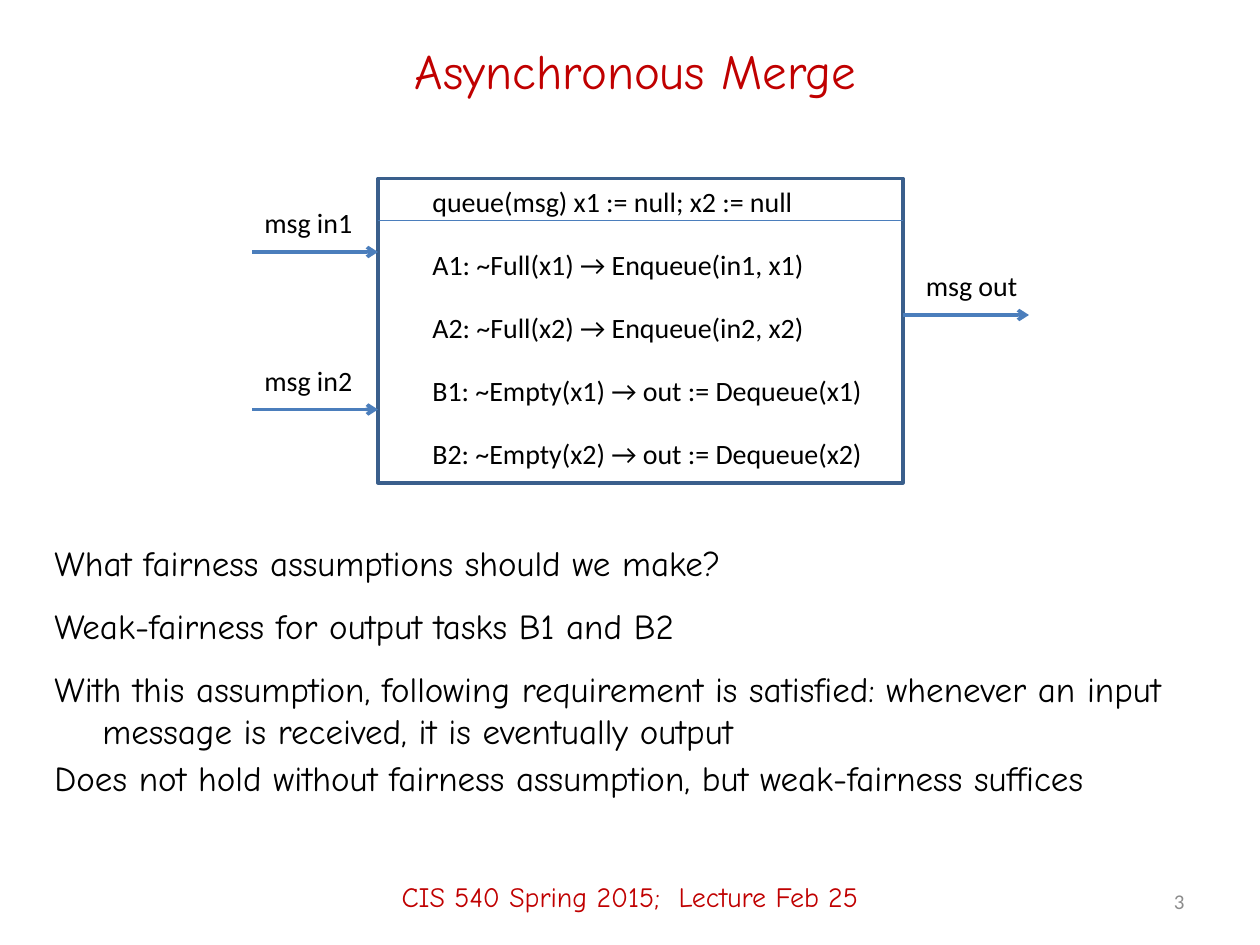
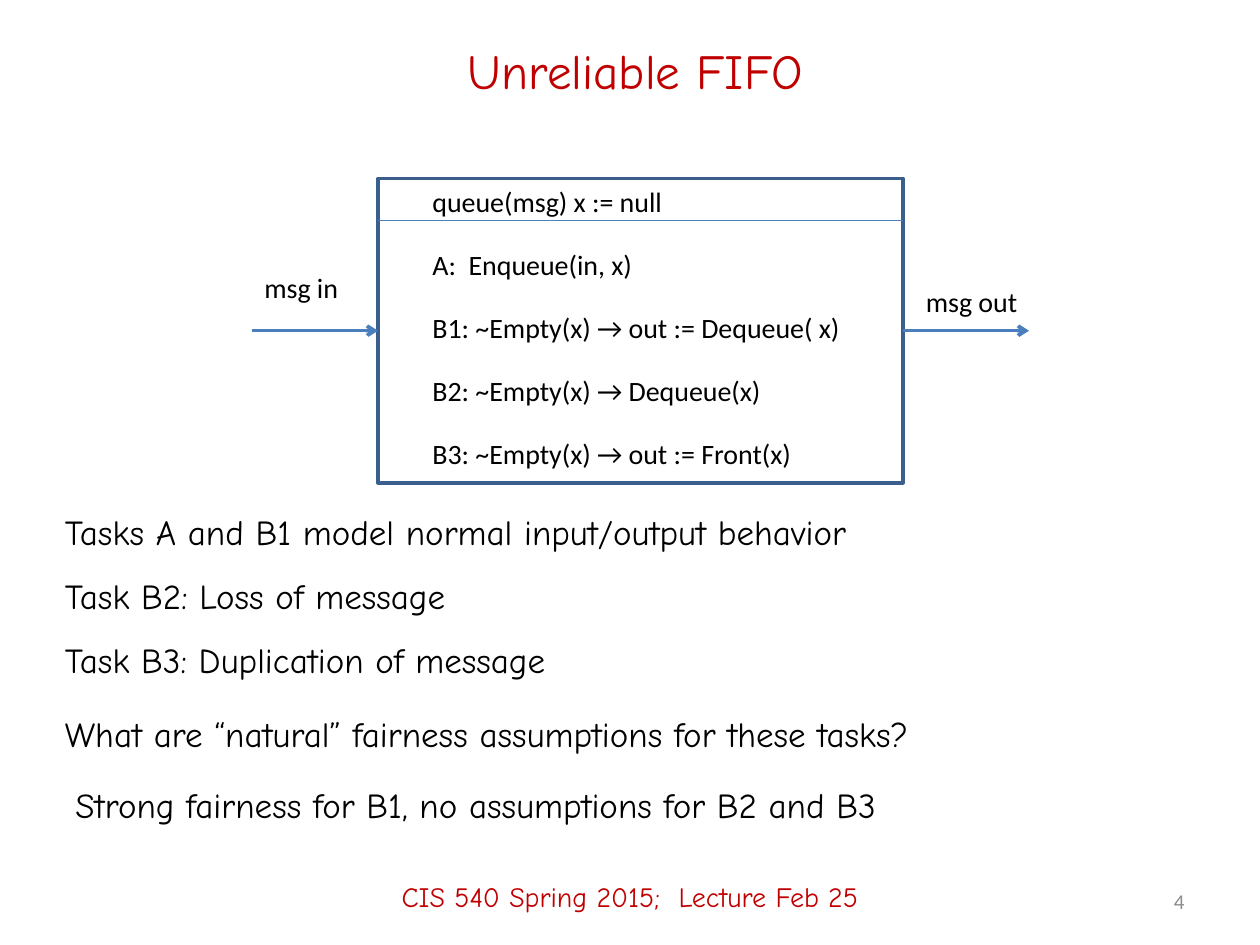
from dataclasses import dataclass

from lxml import etree
from pptx import Presentation
from pptx.dml.color import RGBColor
from pptx.enum.shapes import MSO_CONNECTOR, MSO_SHAPE
from pptx.enum.text import MSO_ANCHOR, PP_ALIGN
from pptx.oxml.ns import qn
from pptx.util import Inches, Pt

STRAIGHT, RECTANGLE = MSO_CONNECTOR.STRAIGHT, MSO_SHAPE.RECTANGLE
TOP, MIDDLE = MSO_ANCHOR.TOP, MSO_ANCHOR.MIDDLE
LEFT, CENTER, RIGHT = PP_ALIGN.LEFT, PP_ALIGN.CENTER, PP_ALIGN.RIGHT
LEFT_SIDE, RIGHT_SIDE = 1, 3
TITLE_ONLY = 5

# Grid of 120 columns by 90 rows
WIDTH, HEIGHT = Inches(10), Inches(7.5)
COLUMNS, ROWS = 120, 90

# Process box, in columns and rows
BOX_LEFT, BOX_TOP, BOX_WIDTH, BOX_HEIGHT = 36, 17, 50, 29
BOX_RIGHT = BOX_LEFT + BOX_WIDTH
BOX_MIDDLE = BOX_TOP + BOX_HEIGHT / 2
ARROW_LENGTH, TASK_STEP, LABEL_RISE = 12, 6, 5


@dataclass(frozen=True)
class Theme:
    hand: str = "Comic Neue"
    plain: str = "Calibri"
    red: str = "C00000"
    black: str = "000000"
    grey: str = "8C8C8C"
    box_line: str = "3A5F8C"
    arrow_line: str = "4B7EBC"
    title_size: int = 28
    body_size: int = 20
    label_size: int = 16
    number_size: int = 12
    heavy: float = 2
    thin: float = 0.75


def x(columns):
    return round(WIDTH * columns / COLUMNS)


def y(rows):
    return round(HEIGHT * rows / ROWS)


class Deck:
    def __init__(self, theme):
        self.theme = theme
        self.presentation = Presentation()
        self.presentation.slide_width = WIDTH
        self.presentation.slide_height = HEIGHT
        self.slide = None

    def start(self, title, number):
        """Add a slide with its title, footer and number."""
        t = self.theme
        layout = self.presentation.slide_layouts[TITLE_ONLY]
        self.slide = self.presentation.slides.add_slide(layout)
        heading = self.slide.shapes.title
        heading.left, heading.top = x(9), y(2)
        heading.width, heading.height = x(103), y(9.33)
        self.fill_text(heading, [title], t.hand, t.title_size, t.red, CENTER, MIDDLE)
        self.text(0, 80.67, 120, 9.33, ["CIS 540 Spring 2015;  Lecture Feb 25"],
                  t.hand, t.label_size, t.red, CENTER, MIDDLE)
        self.text(86, 83.4, 28, 4.8, [str(number)],
                  t.plain, t.number_size, t.grey, RIGHT, MIDDLE)

    def fill_text(self, shape, lines, font, size, color, align=LEFT, anchor=TOP):
        frame = shape.text_frame
        frame.word_wrap = True
        frame.vertical_anchor = anchor
        frame.text = "\n".join(lines)
        for paragraph in frame.paragraphs:
            paragraph.alignment = align
            paragraph.font.name = font
            paragraph.font.size = Pt(size)
            paragraph.font.color.rgb = RGBColor.from_string(color)
        return frame

    def text(self, left, top, width, height, lines, *style):
        box = self.slide.shapes.add_textbox(x(left), y(top), x(width), y(height))
        return self.fill_text(box, lines, *style)

    def label(self, left, top, width, words):
        t = self.theme
        self.text(left, top, width, 4.44, [words], t.plain, t.label_size, t.black)

    def remark(self, left, top, *lines, width=98, height=7):
        """Body text with a hanging indent."""
        t = self.theme
        frame = self.text(left, top, width, height, lines,
                          t.hand, t.body_size, t.black)
        for index, paragraph in enumerate(frame.paragraphs):
            properties = paragraph._p.get_or_add_pPr()
            properties.set("marL", str(Inches(0.38)))
            properties.set("indent", str(-Inches(0.38)))
            if index:
                paragraph.space_before = Pt(3)

    def line(self, left, right, row, weight, arrow=False):
        connector = self.slide.shapes.add_connector(
            STRAIGHT, x(left), y(row), x(right), y(row))
        connector.line.color.rgb = RGBColor.from_string(self.theme.arrow_line)
        connector.line.width = Pt(weight)
        properties = connector._element.spPr
        if arrow:
            etree.SubElement(properties.find(qn("a:ln")), qn("a:tailEnd"), type="arrow")
        etree.SubElement(properties, qn("a:effectLst"))
        return connector

    def process(self, state, tasks):
        """Box with the state declaration above the tasks."""
        t = self.theme
        box = self.slide.shapes.add_shape(
            RECTANGLE, x(BOX_LEFT), y(BOX_TOP), x(BOX_WIDTH), y(BOX_HEIGHT))
        box.shadow.inherit = False
        box.fill.background()
        box.line.color.rgb = RGBColor.from_string(t.box_line)
        box.line.width = Pt(t.heavy)
        self.line(BOX_LEFT, BOX_RIGHT, BOX_TOP + 4, t.thin)
        for index, words in enumerate([state, *tasks]):
            self.label(BOX_LEFT + 4, BOX_TOP + index * TASK_STEP, 45, words)
        return box

    def message_in(self, process, words, row, rise=LABEL_RISE):
        start = BOX_LEFT - ARROW_LENGTH
        arrow = self.line(start, BOX_LEFT, row, self.theme.heavy, arrow=True)
        if row == BOX_MIDDLE:
            arrow.end_connect(process, LEFT_SIDE)
        self.label(start, row - rise, 12, words)

    def message_out(self, process, words, row):
        arrow = self.line(BOX_RIGHT, BOX_RIGHT + ARROW_LENGTH, row,
                          self.theme.heavy, arrow=True)
        if row == BOX_MIDDLE:
            arrow.begin_connect(process, RIGHT_SIDE)
        self.label(BOX_RIGHT + 1, row - LABEL_RISE, 12, words)


def asynchronous_merge(deck):
    deck.start("Asynchronous Merge", 3)

    # Process and its channels
    merge = deck.process("queue(msg) x1 := null; x2 := null", [
        "A1: ~Full(x1) → Enqueue(in1, x1)",
        "A2: ~Full(x2) → Enqueue(in2, x2)",
        "B1: ~Empty(x1) → out := Dequeue(x1)",
        "B2: ~Empty(x2) → out := Dequeue(x2)",
    ])
    deck.message_in(merge, "msg in1", 24)
    deck.message_in(merge, "msg in2", 39)
    deck.message_out(merge, "msg out", 30)

    # Fairness remarks
    deck.remark(4, 51, "What fairness assumptions should we make?")
    deck.remark(4, 57, "Weak-fairness for output tasks B1 and B2")
    deck.remark(
        4, 63,
        "With this assumption, following requirement is satisfied: "
        "whenever an input message is received, it is eventually output",
        "Does not hold without fairness assumption, but weak-fairness suffices",
        width=116, height=16.3)


def unreliable_fifo(deck):
    deck.start("Unreliable FIFO", 4)

    # Process and its channels
    fifo = deck.process("queue(msg) x := null", [
        "A:  Enqueue(in, x)",
        "B1: ~Empty(x) → out := Dequeue( x)",
        "B2: ~Empty(x) → Dequeue(x)",
        "B3: ~Empty(x) → out := Front(x)",
    ])
    deck.message_in(fifo, "msg in", BOX_MIDDLE, rise=6.3)
    deck.message_out(fifo, "msg out", BOX_MIDDLE)

    # Meaning of the tasks
    meanings = [
        "Tasks A and B1 model normal input/output behavior",
        "Task B2: Loss of message",
        "Task B3: Duplication of message",
    ]
    for index, meaning in enumerate(meanings):
        deck.remark(5, 48 + 6.1 * index, meaning)

    # Fairness question and answer
    deck.remark(5, 67.3, "What are “natural” fairness assumptions for these tasks?")
    deck.remark(6, 74, "Strong fairness for B1, no assumptions for B2 and B3")


def main():
    deck = Deck(Theme())
    asynchronous_merge(deck)
    unreliable_fifo(deck)
    deck.presentation.save("out.pptx")


if __name__ == "__main__":
    main()
